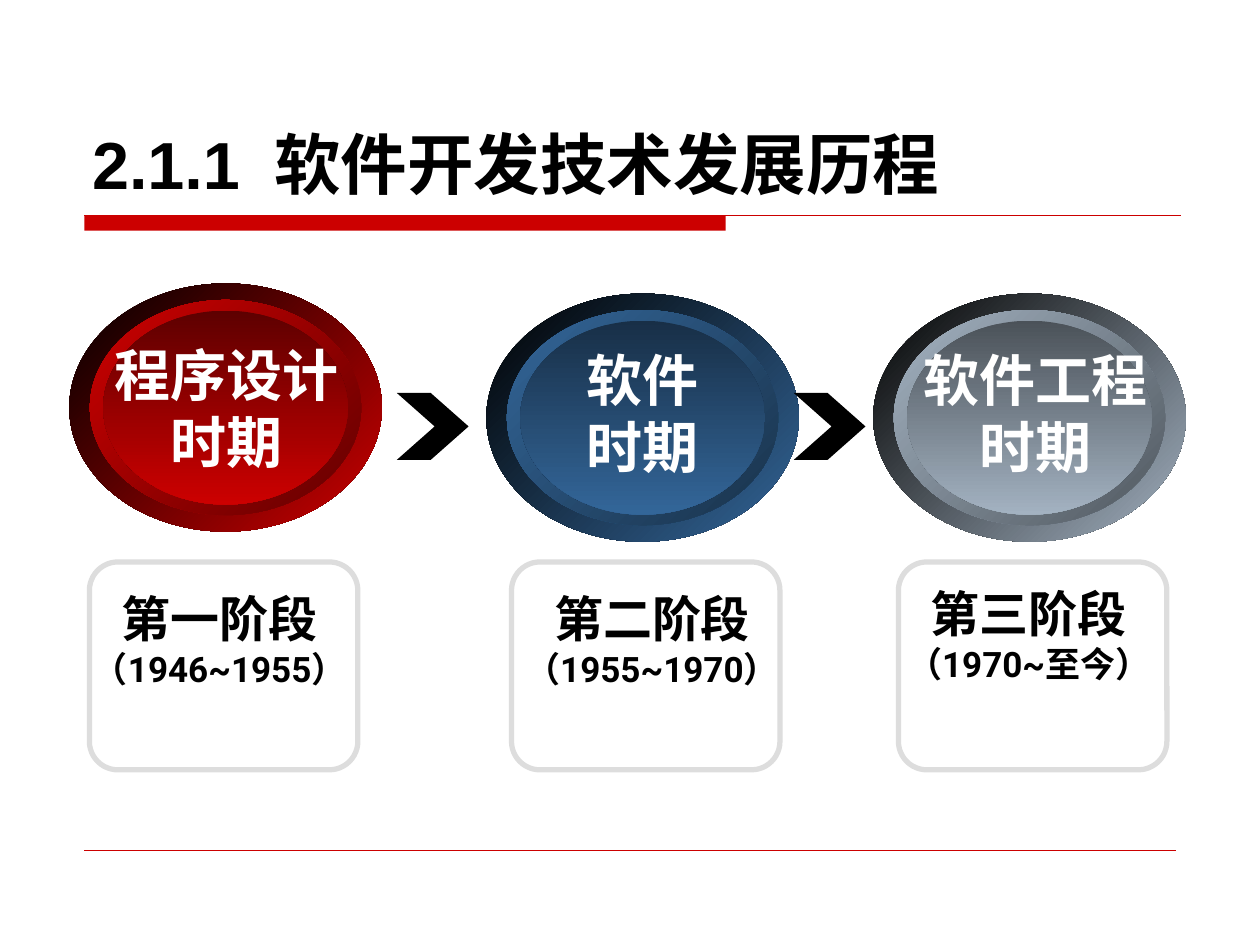
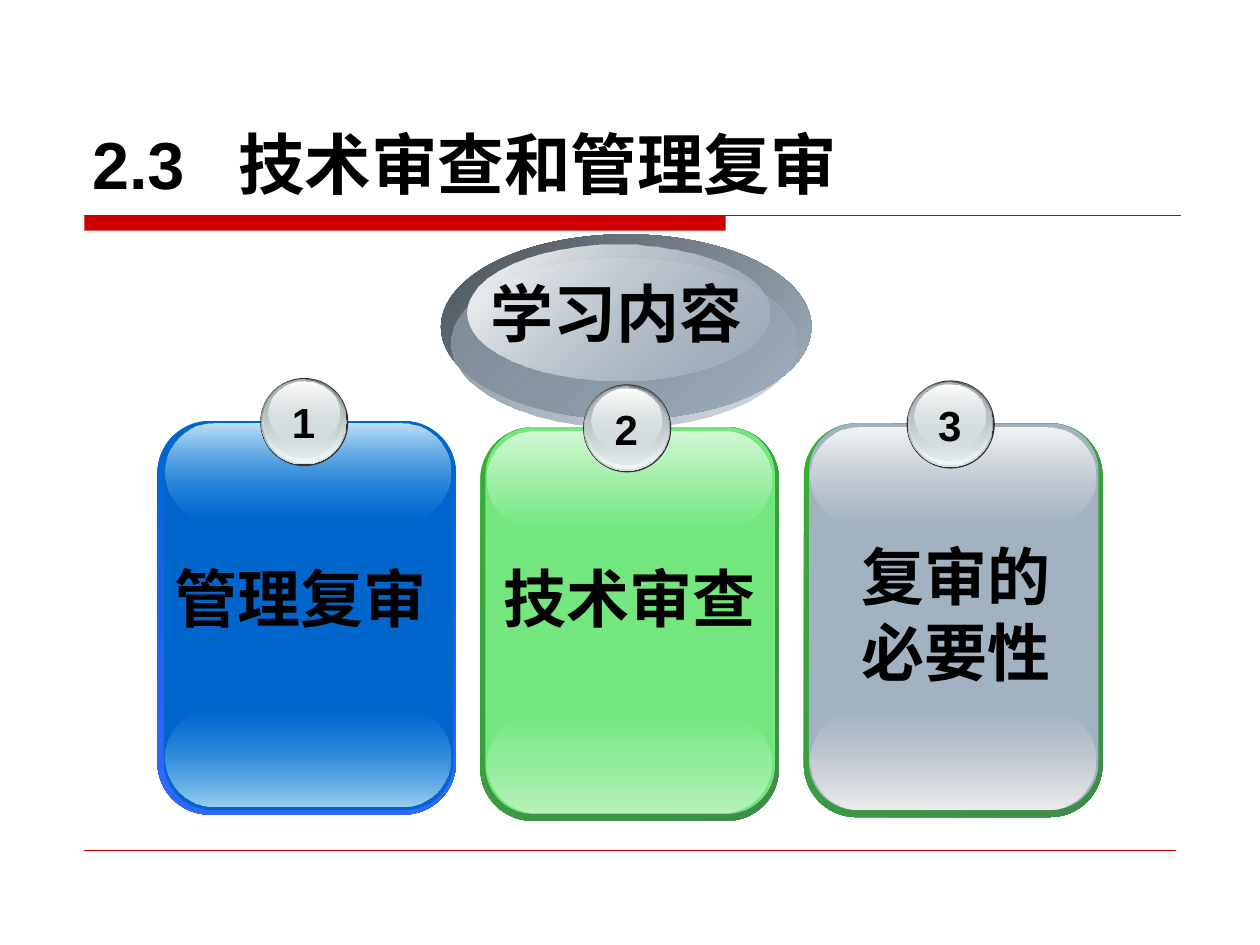
from dataclasses import dataclass
from typing import NamedTuple

from lxml import etree
from pptx import Presentation
from pptx.dml.color import RGBColor
from pptx.enum.shapes import MSO_CONNECTOR, MSO_SHAPE
from pptx.enum.text import MSO_ANCHOR, MSO_AUTO_SIZE, PP_ALIGN
from pptx.oxml.ns import qn
from pptx.util import Pt

OVAL, ROUNDED = MSO_SHAPE.OVAL, MSO_SHAPE.ROUNDED_RECTANGLE
RECTANGLE, CHEVRON = MSO_SHAPE.RECTANGLE, MSO_SHAPE.CHEVRON
STRAIGHT = MSO_CONNECTOR.STRAIGHT
LEFT, CENTER, RIGHT = PP_ALIGN.LEFT, PP_ALIGN.CENTER, PP_ALIGN.RIGHT
BOTTOM, TOP = MSO_ANCHOR.BOTTOM, MSO_ANCHOR.TOP
NO_AUTOFIT = MSO_AUTO_SIZE.NONE

RED, BLACK, WHITE = "CC0000", "000000", "FFFFFF"
FRAME_GREY, STEEL, PEARL = "DDDDDD", "A3B2C1", "D6E1E2"
GREEN_EDGE = ("34B034", "3F8B4A")


class Box(NamedTuple):
    left: float
    top: float
    width: float
    height: float

    def inset(self, dx: float, dy: float) -> "Box":
        return Box(self.left + dx, self.top + dy,
                   self.width - 2 * dx, self.height - 2 * dy)

    def inner(self, dx: float, dy: float, width: float, height: float) -> "Box":
        return Box(self.left + dx, self.top + dy, width, height)

    def lengths(self) -> list:
        return [Pt(value) for value in self]


class Stop(NamedTuple):
    colour: str
    alpha: int = 100


class Gradient(NamedTuple):
    stops: tuple
    angle: int = 90


class Line(NamedTuple):
    text: str
    size: float


@dataclass
class Stage:
    left: float
    top: float
    colour: str
    rim_dark: str
    ring_dark: str
    core_dark: str
    period: tuple
    period_box: Box
    period_align: int
    frame_left: float
    name: str
    years: str
    name_left: float
    name_top: float


@dataclass
class Card:
    left: float
    top: float
    edge: Gradient
    face: str
    face_dx: float
    face_dy: float
    shine_dy: float
    top_shine: tuple
    bottom_shine: tuple
    number: str
    topic: tuple
    topic_box: Box
    topic_align: int = CENTER


STAGES = [
    Stage(39.6, 162, RED, "6E0000", "630000", "5E0000",
          ("程序设计", "时期"), Box(54, 190.8, 150.5, 84), CENTER,
          51.1, "第一阶段", "（1946~1955）", 19.4, 332.6),
    Stage(277.9, 167.8, "336699", "1C3753", "19324A", "182F47",
          ("软件", "时期"), Box(308.9, 193.7, 97.2, 84), RIGHT,
          292.3, "第二阶段", "（1955~1970）", 266.4, 332.6),
    Stage(499, 167.8, STEEL, "586068", "4F575E", "4B5259",
          ("软件工程", "时期"), Box(513.4, 193.7, 157, 84), CENTER,
          513.4, "第三阶段", "（1970~至今）", 481.7, 329.8),
]

CARDS = [
    Card(90, 240.5, Gradient((Stop("0066CC"), Stop("3366FF"))), "0066CC",
         3.6, 1.4, 1.4,
         (Stop("BEE0F7"), Stop("3CA1E6", 0)), (Stop("3CA1E6", 0), Stop("9BCFF2")),
         "1", ("管理复审",), Box(91.4, 316.1, 160.6, 50.4)),
    Card(274.5, 244.1, Gradient(tuple(map(Stop, GREEN_EDGE)), 45), "73E77E",
         2.9, 0, 2.2,
         (Stop("D0F7D4"), Stop("73E77E")), (Stop("73E77E"), Stop("B3F2B9")),
         "2", ("技术审查",), Box(280.8, 316.1, 160.6, 50.4), LEFT),
    Card(459.4, 241.9, Gradient(tuple(map(Stop, GREEN_EDGE)), 45), STEEL,
         2.9, 0, 2.2,
         (Stop("F4F4F4"), Stop(FRAME_GREY, 0)), (Stop(FRAME_GREY, 0), Stop("ECECEC")),
         "3", ("复审的", "必要性"), Box(465.8, 303.8, 160.6, 93.6)),
]

BADGE_LAYERS = [
    ((0, 0, 50.4, 50.4), "333333"),
    ((0.5, 0.4, 49, 49), Gradient((Stop("636869"), Stop(PEARL)))),
    ((1.1, 0.7, 47.5, 47.5), Gradient((Stop(PEARL, 0), Stop("F1F5F5")))),
    ((1.8, 1.1, 45.4, 44.6), Gradient((Stop("AAB2B3"), Stop(PEARL, 48)))),
    ((4.7, 2.2, 40.3, 36), Gradient((Stop(WHITE), Stop(PEARL, 38)))),
]

HEADING_LAYERS = [
    (Box(252, 133.9, 211.7, 105.8), Gradient((Stop("4B5259"), Stop(STEEL)), 45)),
    (Box(257.8, 147.6, 196.6, 96.5), Gradient((Stop("818D99"), Stop(STEEL, 48)), 45)),
    (Box(267.1, 139.7, 172.8, 77.8), Gradient((Stop(WHITE), Stop(STEEL, 38)), 45)),
]


def rgb(colour: str) -> RGBColor:
    return RGBColor.from_string(colour)


def apply(target, values: dict) -> None:
    for attribute, value in values.items():
        setattr(target, attribute, value)


def fill_gradient(shape, gradient: Gradient) -> None:
    shape.fill.gradient()
    shape.fill.gradient_angle = (360 - gradient.angle) % 360
    stop_list = shape.element.spPr.find(qn("a:gradFill")).find(qn("a:gsLst"))
    for default_stop in list(stop_list):
        stop_list.remove(default_stop)
    step = 100000 // (len(gradient.stops) - 1)
    for index, stop in enumerate(gradient.stops):
        entry = etree.SubElement(stop_list, qn("a:gs"), pos=str(index * step))
        colour = etree.SubElement(entry, qn("a:srgbClr"), val=stop.colour)
        if stop.alpha < 100:
            etree.SubElement(colour, qn("a:alpha"), val=str(stop.alpha * 1000))


def add_figure(slide, kind, box: Box, fill, corner=None, border=None):
    figure = slide.shapes.add_shape(kind, *box.lengths())
    figure.shadow.inherit = False
    if corner is not None:
        figure.adjustments[0] = corner
    if isinstance(fill, Gradient):
        fill_gradient(figure, fill)
    else:
        figure.fill.solid()
        figure.fill.fore_color.rgb = rgb(fill)
    if border:
        figure.line.color.rgb = rgb(border)
        figure.line.width = Pt(3)
    else:
        figure.line.fill.background()
    return figure


def add_rule(slide, left: float, right: float, top: float, width: float):
    rule = slide.shapes.add_connector(STRAIGHT, Pt(left), Pt(top), Pt(right), Pt(top))
    rule.line.color.rgb = rgb(RED)
    rule.line.width = Pt(width)
    etree.SubElement(rule.element.spPr, qn("a:effectLst"))
    return rule


def format_run(run, size: float, colour: str = BLACK, font: str = "Arial") -> None:
    apply(run.font, {"size": Pt(size), "bold": True, "name": font})
    run.font.color.rgb = rgb(colour)


def add_label(slide, box: Box, lines: list, align=CENTER, colour: str = BLACK,
              font: str = "Arial", wrap: bool = True) -> None:
    frame = slide.shapes.add_textbox(*box.lengths()).text_frame
    apply(frame, {"word_wrap": wrap, "auto_size": NO_AUTOFIT, "vertical_anchor": TOP})
    for index, line in enumerate(lines):
        paragraph = frame.add_paragraph() if index else frame.paragraphs[0]
        paragraph.alignment = align
        run = paragraph.add_run()
        run.text = line.text
        format_run(run, line.size, colour, font)


def move_rules_to_layout(slide, layout) -> None:
    band = add_figure(slide, RECTANGLE, Box(48.2, 123.1, 366.5, 8.7), RED)
    title_rule = add_rule(slide, 48.2, 674.6, 123.1, 0.75)
    footer_rule = add_rule(slide, 48.2, 671.8, 486, 0.25)
    for shared in (band, title_rule, footer_rule):
        layout.shapes.element.append(shared.element)


def add_titled_slide(deck, layout, number: str, heading: str, heading_left: float):
    slide = deck.slides.add_slide(layout)
    title = slide.shapes.title
    apply(title, {"left": Pt(45.4), "top": Pt(23.8), "width": Pt(630), "height": Pt(95.8)})
    apply(title.text_frame, {"vertical_anchor": BOTTOM, "word_wrap": True,
                             "auto_size": NO_AUTOFIT})
    paragraph = title.text_frame.paragraphs[0]
    paragraph.alignment = LEFT
    tabs = etree.SubElement(paragraph._p.get_or_add_pPr(), qn("a:tabLst"))
    etree.SubElement(tabs, qn("a:tab"), pos=str(Pt(heading_left)), algn="l")
    run = paragraph.add_run()
    run.text = f"{number}\t{heading}"
    format_run(run, 38)
    return slide


def draw_stage(slide, stage: Stage) -> None:
    rim = Box(stage.left, stage.top, 178.6, 141.8)
    ring, core = rim.inset(11.8, 9.4), rim.inset(19.4, 15.5)
    bright, dark = Stop(stage.colour), Stop(stage.rim_dark)
    layers = [
        (rim, Gradient((Stop(WHITE), bright, Stop(WHITE)), 45)),
        (rim, Gradient((Stop(BLACK), bright), 45)),
        (ring, Gradient((dark, bright, dark), 315)),
        (ring, Gradient((bright, Stop(stage.ring_dark)), 45)),
        (core, Gradient((Stop(stage.core_dark), bright))),
    ]
    for box, fill in layers:
        add_figure(slide, OVAL, box, fill)
    add_label(slide, stage.period_box, [Line(text, 32) for text in stage.period],
              stage.period_align, WHITE)
    add_figure(slide, ROUNDED, Box(stage.frame_left, 321.1, 153.4, 118.8),
               WHITE, 0.137, FRAME_GREY)
    add_label(slide, Box(stage.name_left, stage.name_top, 212.4, 89.3),
              [Line(stage.name, 28), Line(stage.years, 20)], font="Roboto")


def draw_card(slide, card: Card) -> None:
    panel = Box(card.left, card.top, 170.6, 225)
    add_figure(slide, ROUNDED, panel, card.edge, 0.175)
    add_figure(slide, ROUNDED, panel.inner(card.face_dx, card.face_dy, 165.4, 221),
               card.face, 0.165)
    shine_dx = card.face_dx + 1
    add_figure(slide, ROUNDED, panel.inner(shine_dx, 164.2, 162.7, 56.2),
               Gradient(card.bottom_shine), 0.5)
    add_figure(slide, ROUNDED, panel.inner(shine_dx, card.shine_dy, 162.7, 55.4),
               Gradient(card.top_shine), 0.5)
    badge = panel.inner(58.7, -24.5, 50.4, 50.4)
    for place, fill in BADGE_LAYERS:
        add_figure(slide, OVAL, badge.inner(*place), fill)
    add_label(slide, badge.inner(11, 7.2, 27.4, 36), [Line(card.number, 24)], wrap=False)
    add_label(slide, card.topic_box, [Line(text, 36) for text in card.topic],
              card.topic_align)


def main() -> None:
    deck = Presentation()
    apply(deck, {"slide_width": Pt(720), "slide_height": Pt(540)})
    layout = deck.slide_layouts[5]

    history = add_titled_slide(deck, layout, "2.1.1", "软件开发技术发展历程", 104)
    move_rules_to_layout(history, layout)
    for stage in STAGES:
        draw_stage(history, stage)
    for arrow_left in (226.8, 453.6):
        add_figure(history, CHEVRON, Box(arrow_left, 224.6, 41, 38.2), BLACK, 0.566)

    review = add_titled_slide(deck, layout, "2.3", "技术审查和管理复审", 83.5)
    for box, fill in HEADING_LAYERS:
        add_figure(review, OVAL, box, fill)
    add_label(review, Box(271.4, 153.4, 162, 50.4), [Line("学习内容", 36)])
    for card in CARDS:
        draw_card(review, card)

    deck.save("out.pptx")


if __name__ == "__main__":
    main()
